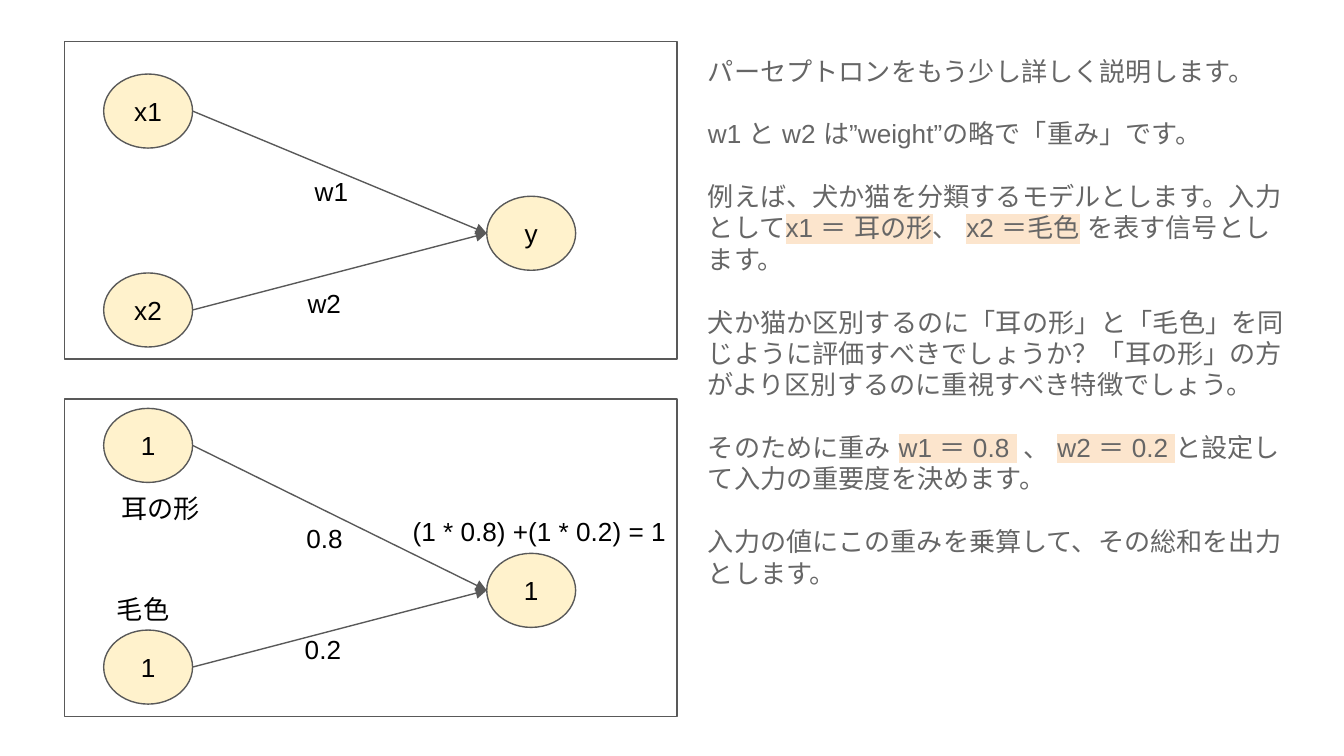
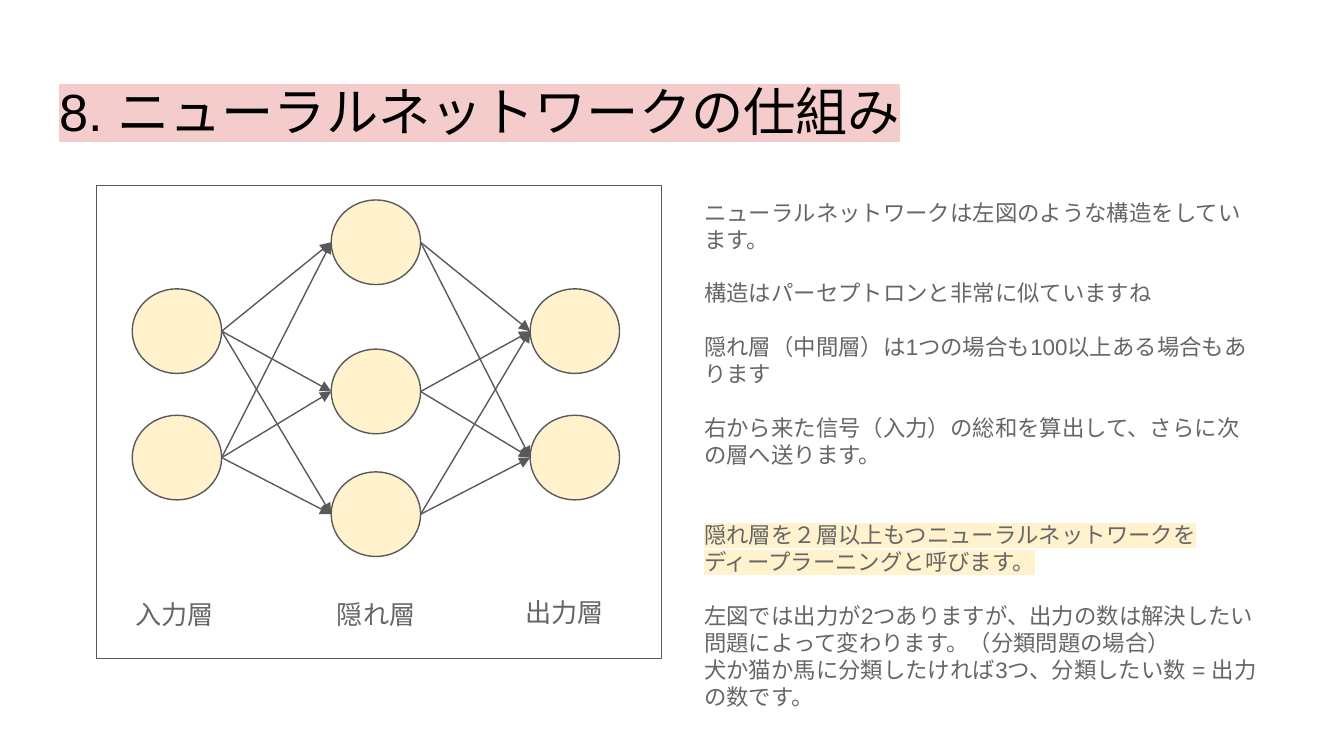
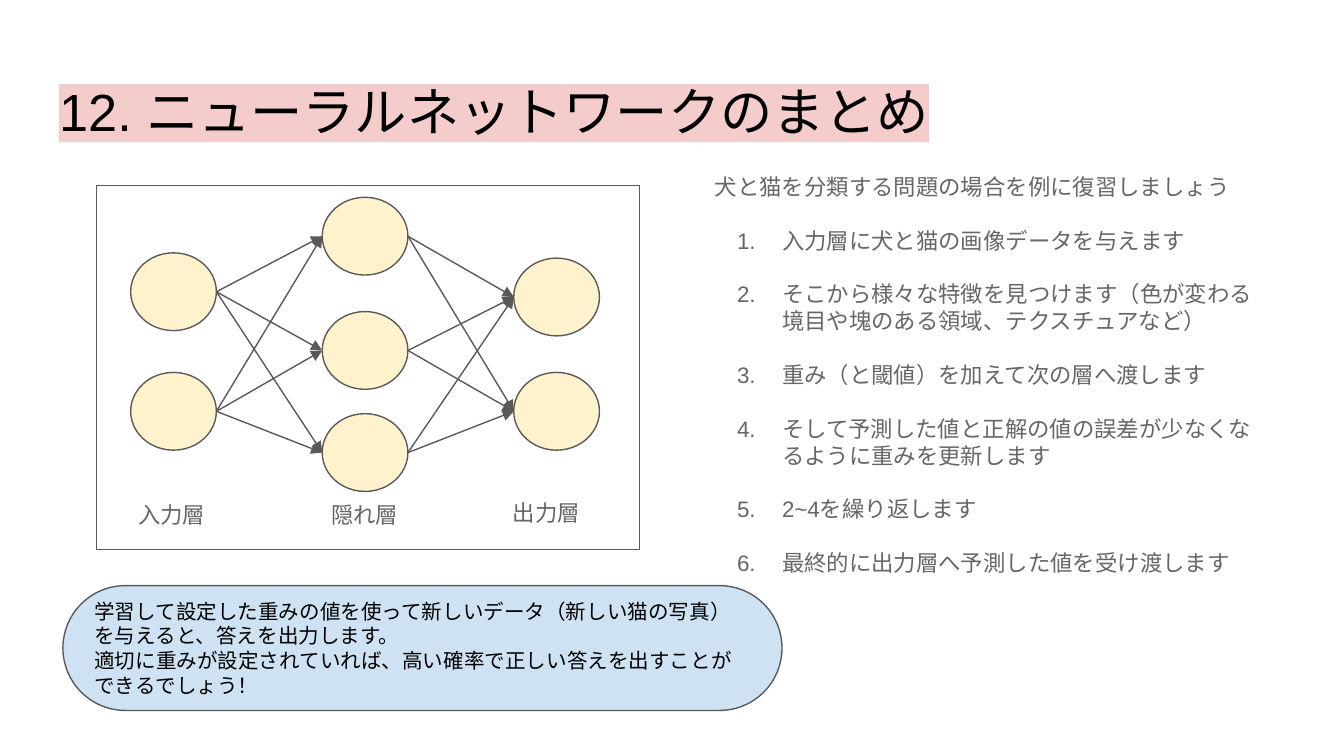
from dataclasses import dataclass
from itertools import product

from lxml import etree
from pptx import Presentation
from pptx import util as u
from pptx.dml.color import RGBColor
from pptx.enum import shapes, text
from pptx.oxml import ns


@dataclass(frozen=True)
class Theme:
    """Colours, type and line sizes shared by the slides."""
    font: str = "Arial"
    ink: str = "000000"
    grey: str = "666666"
    outline: str = "595959"
    node: str = "FFF2CC"
    callout: str = "CFE2F3"
    title_mark: str = "F4CCCC"
    term_mark: str = "FCE5CD"
    title: int = 28
    large: int = 14
    body: int = 12
    small: int = 11
    rule: float = 0.75
    line_height: float = 1.2
    inset: float = 0.25


THEME = Theme()
CENTER = text.PP_ALIGN.CENTER
LEFT = text.PP_ALIGN.LEFT


def add_element(parent, tag, **attributes):
    """Append a DrawingML element and return it."""
    return etree.SubElement(parent, ns.qn(tag), **attributes)


def box(left, top, width, height):
    """Turn a frame in centimetres into lengths."""
    return [u.Cm(value) for value in (left, top, width, height)]


def highlight(run, color):
    """Mark a run with a background colour."""
    mark = add_element(run._r.get_or_add_rPr(), "a:highlight")
    add_element(mark, "a:srgbClr", val=color)


def number(paragraph):
    """Make a paragraph an item of a numbered list."""
    properties = paragraph._p.get_or_add_pPr()
    properties.set("marL", str(u.Cm(1.27)))
    properties.set("indent", str(u.Cm(-0.85)))
    color = add_element(properties, "a:buClr")
    add_element(color, "a:srgbClr", val=THEME.grey)
    add_element(properties, "a:buAutoNum", type="arabicPeriod")


def style(paragraph, size, color, align=LEFT):
    """Set the font and alignment of a paragraph."""
    paragraph.alignment = align
    font = paragraph.font
    font.name = THEME.font
    font.size = u.Pt(size)
    font.color.rgb = RGBColor.from_string(color)
    defaults = paragraph._p.pPr.find(ns.qn("a:defRPr"))
    add_element(defaults, "a:ea", typeface=THEME.font)


def write(shape, paragraphs, size, color, align=LEFT, anchor=text.MSO_ANCHOR.TOP):
    """Fill a shape with (runs, blank lines before, numbered) paragraphs."""
    frame = shape.text_frame
    frame.word_wrap = True
    frame.vertical_anchor = anchor
    frame.margin_left = frame.margin_right = u.Cm(THEME.inset)
    frame.margin_top = frame.margin_bottom = u.Cm(THEME.inset)
    for index, (runs, gap, numbered) in enumerate(paragraphs):
        paragraph = frame.add_paragraph() if index else frame.paragraphs[0]
        if gap:
            paragraph.space_before = u.Pt(gap * size * THEME.line_height)
        if numbered:
            number(paragraph)
        style(paragraph, size, color, align)
        for words, mark in runs:
            run = paragraph.add_run()
            run.text = words
            if mark:
                highlight(run, mark)


def plain(words, gap=0, numbered=False, mark=None):
    """Describe a paragraph made of one run."""
    return [(words, mark)], gap, numbered


def add_text(slide, frame, paragraphs, size, color, align=LEFT):
    """Add a text box."""
    write(slide.shapes.add_textbox(*box(*frame)), paragraphs, size, color, align)


def add_label(slide, words, frame, size=THEME.large, color=THEME.ink, align=CENTER):
    """Add a one-line label."""
    add_text(slide, frame, [plain(words)], size, color, align)


def add_title(slide, words):
    """Add the marked slide title."""
    add_text(slide, (0.87, 1.24, 23.67, 1.6),
             [plain(words, mark=THEME.title_mark)], THEME.title, THEME.ink)


def add_outlined(slide, kind, frame, fill=None):
    """Add an outlined shape, filled if a colour is given."""
    shape = slide.shapes.add_shape(kind, *box(*frame))
    shape.shadow.inherit = False
    shape.line.color.rgb = RGBColor.from_string(THEME.outline)
    shape.line.width = u.Pt(THEME.rule)
    if fill:
        shape.fill.solid()
        shape.fill.fore_color.rgb = RGBColor.from_string(fill)
    else:
        shape.fill.background()
    return shape


def add_node(slide, frame, words=None):
    """Add a neuron, with its value if there is one."""
    node = add_outlined(slide, shapes.MSO_SHAPE.OVAL, frame, THEME.node)
    if words:
        write(node, [plain(words)], THEME.large, THEME.ink, CENTER,
              text.MSO_ANCHOR.MIDDLE)
    return node


def add_arrow(slide, source, target):
    """Link the right side of one node to the left side of another."""
    arrow = slide.shapes.add_connector(
        shapes.MSO_CONNECTOR.STRAIGHT,
        source.left + source.width, source.top + source.height // 2,
        target.left, target.top + target.height // 2)
    arrow.line.color.rgb = RGBColor.from_string(THEME.outline)
    arrow.line.width = u.Pt(THEME.rule)
    add_element(arrow.line._get_or_add_ln(), "a:tailEnd", type="triangle")
    add_element(arrow._element.spPr, "a:effectLst")


def add_perceptron(slide, top, inputs, output):
    """Draw a framed perceptron from (value, offset) inputs and an output value."""
    add_outlined(slide, shapes.MSO_SHAPE.RECTANGLE, (1.22, top, 11.58, 6))
    result = add_node(slide, (9.2, top + 2.92, 1.68, 1.4), output)
    for value, offset in inputs:
        signal = add_node(slide, (1.96, top + offset, 1.68, 1.4), value)
        add_arrow(slide, signal, result)


def add_network(slide, frame, left, step, size, layers):
    """Draw a framed, fully connected network from the node tops of its layers."""
    add_outlined(slide, shapes.MSO_SHAPE.RECTANGLE, frame)
    columns = [[add_node(slide, (left + index * step, top, *size)) for top in tops]
               for index, tops in enumerate(layers)]
    for before, after in zip(columns, columns[1:]):
        for source, target in product(before, after):
            add_arrow(slide, source, target)


def add_layer_names(slide, lefts, tops, size, type_size):
    """Name the three layers below a network."""
    for words, left, top in zip(("入力層", "隠れ層", "出力層"), lefts, tops):
        add_label(slide, words, (left, top, *size), type_size, THEME.grey)


def build_weights(slide):
    """Explain the weights of a perceptron."""
    add_perceptron(slide, 0.79, [("x1", 0.61), ("x2", 4.37)], "y")
    add_label(slide, "w1", (5.54, 3.07, 1.45, 0.84))
    add_label(slide, "w2", (5.51, 5.18, 1.24, 0.84))
    add_perceptron(slide, 7.54, [("1", 0.18), ("1", 4.37)], "1")
    for words, left, top, width in (
            ("0.8", 5.54, 9.63, 1.45),
            ("0.2", 5.51, 11.73, 1.24),
            ("耳の形", 2.04, 9.05, 2.01),
            ("毛色", 1.96, 10.97, 1.68),
            ("(1 * 0.8) +(1 * 0.2) = 1", 7.55, 9.5, 5.56)):
        add_label(slide, words, (left, top, width, 0.84), align=LEFT)
    mark = THEME.term_mark
    example = [("例えば、犬か猫を分類するモデルとします。入力として", None),
               ("x1 ＝ 耳の形", mark), ("、 ", None),
               ("x2 ＝毛色", mark), (" を表す信号とします。", None)]
    values = [("そのために重み ", None), ("w1 ＝ 0.8 ", mark), (" 、 ", None),
              ("w2 ＝ 0.2 ", mark), ("と設定して入力の重要度を決めます。", None)]
    add_text(slide, (13.13, 0.79, 11.58, 12.75), [
        plain("パーセプトロンをもう少し詳しく説明します。"),
        plain("w1 と w2 は”weight”の略で「重み」です。", 1),
        (example, 1, False),
        plain("犬か猫か区別するのに「耳の形」と「毛色」を同じように評価すべきでしょうか？"
              "「耳の形」の方がより区別するのに重視すべき特徴でしょう。", 1),
        (values, 1, False),
        plain("入力の値にこの重みを乗算して、その総和を出力とします。", 1),
    ], THEME.large, THEME.grey)


def build_structure(slide):
    """Explain the layers of a neural network."""
    add_title(slide, "8. ニューラルネットワークの仕組み")
    outer = (5.46, 7.85)
    add_network(slide, (1.83, 3.51, 10.67, 8.94), 2.5, 3.76, (1.69, 1.6),
                [outer, (3.78, 6.6, 8.92), outer])
    add_layer_names(slide, (2.26, 6.07, 9.63), (11.07, 11.07, 11.02),
                    (2.08, 0.89), THEME.large)
    add_text(slide, (13.06, 3.51, 11, 10.31), [
        plain("ニューラルネットワークは左図のような構造をしています。"),
        plain("構造はパーセプトロンと非常に似ていますね", 1),
        plain("隠れ層（中間層）は1つの場合も100以上ある場合もあります", 1),
        plain("右から来た信号（入力）の総和を算出して、さらに次の層へ送ります。", 1),
        plain("隠れ層を２層以上もつニューラルネットワークをディープラーニングと呼びます。",
              2, mark=THEME.node),
        plain("左図では出力が2つありますが、出力の数は解決したい問題によって変わります。"
              "（分類問題の場合）", 1),
        plain("犬か猫か馬に分類したければ3つ、分類したい数 = 出力の数です。"),
    ], THEME.body, THEME.grey)


def build_summary(slide):
    """Sum up how a neural network learns."""
    add_title(slide, "12. ニューラルネットワークのまとめ")
    add_network(slide, (1.83, 3.51, 10.26, 6.88), 2.47, 3.62, (1.62, 1.47),
                [(4.78, 7.04), (3.73, 5.89, 7.82), (4.88, 7.04)])
    add_layer_names(slide, (2.24, 5.89, 9.32), (9.22, 9.22, 9.19),
                    (2.01, 0.74), THEME.body)
    steps = ("入力層に犬と猫の画像データを与えます",
             "そこから様々な特徴を見つけます（色が変わる境目や塊のある領域、テクスチュアなど）",
             "重み（と閾値）を加えて次の層へ渡します",
             "そして予測した値と正解の値の誤差が少なくなるように重みを更新します",
             "2~4を繰り返します",
             "最終的に出力層へ予測した値を受け渡します")
    add_text(slide, (13.26, 3.02, 11.05, 7.95),
             [plain("犬と猫を分類する問題の場合を例に復習しましょう")]
             + [plain(step, 1, True) for step in steps],
             THEME.body, THEME.grey)
    callout = add_outlined(slide, shapes.MSO_SHAPE.ROUNDED_RECTANGLE,
                           (1.19, 11.07, 13.59, 2.36), THEME.callout)
    callout.adjustments[0] = 0.5
    write(callout, [
        plain("学習して設定した重みの値を使って新しいデータ（新しい猫の写真）を与えると、"
              "答えを出力します。"),
        plain("適切に重みが設定されていれば、高い確率で正しい答えを出すことができるでしょう！"),
    ], THEME.small, THEME.ink, anchor=text.MSO_ANCHOR.MIDDLE)


def main():
    """Build and save the presentation."""
    presentation = Presentation()
    presentation.slide_width = u.Cm(25.4)
    presentation.slide_height = u.Cm(14.29)
    blank = presentation.slide_layouts[6]
    for build in (build_weights, build_structure, build_summary):
        build(presentation.slides.add_slide(blank))
    presentation.save("out.pptx")


if __name__ == "__main__":
    main()
